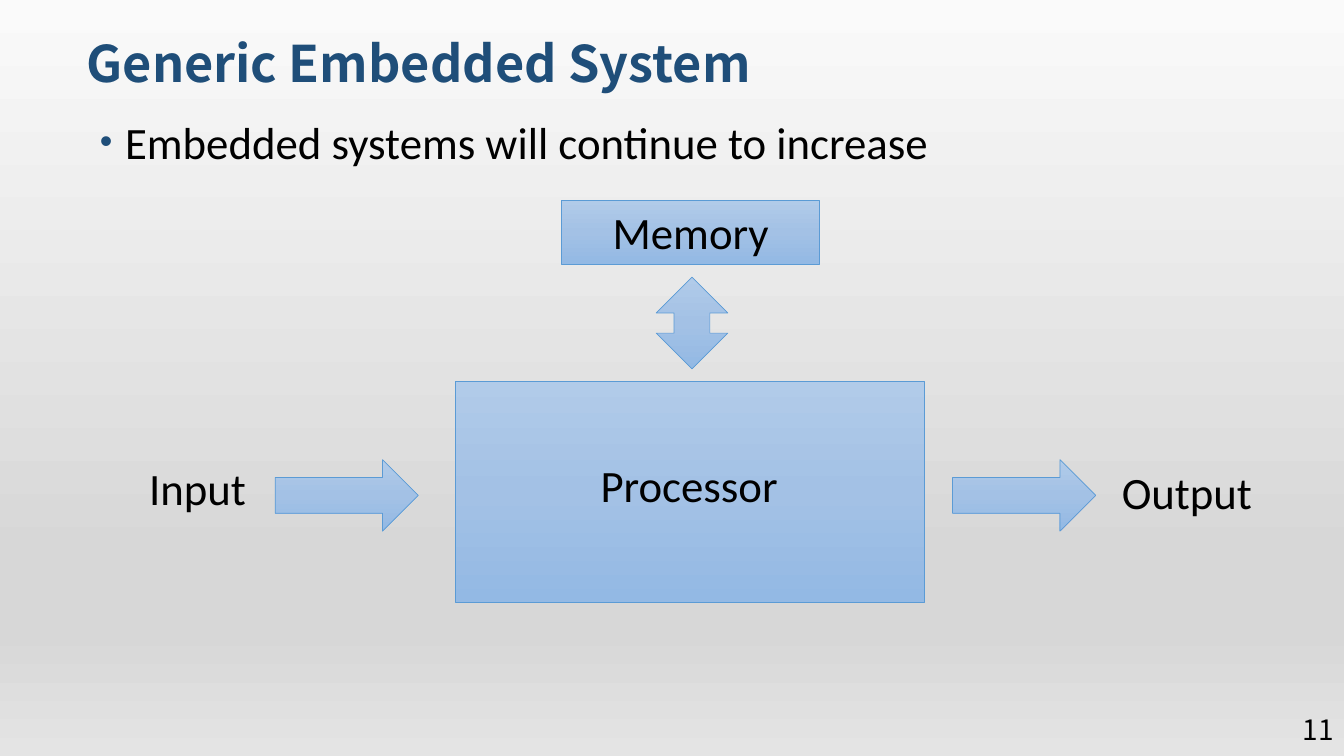
import copy
import dataclasses

import pptx
import pptx.dml.color
import pptx.enum.shapes
import pptx.enum.text
import pptx.oxml
import pptx.oxml.ns
import pptx.util

ALIGN = pptx.enum.text.PP_ALIGN
ANCHOR = pptx.enum.text.MSO_ANCHOR
SHAPE = pptx.enum.shapes.MSO_SHAPE
COLUMNS, ROWS = 133.33, 75
CELL = pptx.util.Inches(0.1)


@dataclasses.dataclass(frozen=True)
class Theme:
    """Colours, fonts and type sizes of the slide."""
    accent: str = "1F4E79"
    ink: str = "000000"
    outline: str = "5B9BD5"
    backdrop: tuple = ((0, "FAFAFA"), (74, "D7D7D7"), (83, "D7D7D7"), (100, "E4E4E4"))
    block: tuple = ((0, "B1CBE9"), (50, "A3C1E5"), (100, "93B9E4"))
    heading_font: str = "Noto Sans CJK TC"
    body_font: str = "Calibri"
    title_size: int = 36
    body_size: int = 32
    number_size: int = 20
    line_width: float = 0.5


THEME = Theme()


@dataclasses.dataclass(frozen=True)
class Box:
    """A rectangle measured in grid columns and rows."""
    left: float
    top: float
    width: float
    height: float

    def inner(self, left, top, width, height):
        """Return a box offset from this one."""
        return Box(self.left + left, self.top + top, width, height)

    def lengths(self):
        """Return left, top, width and height as slide lengths."""
        return [round(cells * CELL) for cells in dataclasses.astuple(self)]


def colour(value):
    """Return the RGB colour of a hex value."""
    return pptx.dml.color.RGBColor.from_string(value)


def paint_gradient(fill, element, stops):
    """Fill from top to bottom with the given percent and colour stops."""
    fill.gradient()
    fill.gradient_angle = 270
    stop_list = next(element.iter(pptx.oxml.ns.qn("a:gsLst")))
    for extra in stop_list[1:]:
        stop_list.remove(extra)
    for _ in stops[1:]:
        stop_list.append(copy.deepcopy(stop_list[0]))
    for stop, (percent, value) in zip(fill.gradient_stops, stops):
        stop.color.rgb = colour(value)
        stop.position = percent / 100


def write(shape, text, *, size=THEME.body_size, font=THEME.body_font, ink=THEME.ink,
          bold=False, align=ALIGN.LEFT, anchor=ANCHOR.TOP, wrap=True, spacing=0.9, before=0):
    """Write one formatted paragraph into a shape and return it."""
    frame = shape.text_frame
    frame.auto_size = pptx.enum.text.MSO_AUTO_SIZE.NONE
    frame.word_wrap = wrap
    frame.vertical_anchor = anchor
    para = frame.paragraphs[0]
    para.alignment = align
    para.line_spacing = spacing
    para.space_before = pptx.util.Pt(before)
    span = para.add_run()
    span.text = text
    span.font.name = font
    span.font.size = pptx.util.Pt(size)
    span.font.bold = bold
    span.font.color.rgb = colour(ink)
    return para


def move(shape, box):
    """Place a shape on a box."""
    shape.left, shape.top, shape.width, shape.height = box.lengths()


def add_bullet(para):
    """Give a paragraph a hanging coloured bullet."""
    properties = para._p.get_or_add_pPr()
    properties.set("marL", str(pptx.util.Inches(0.3)))
    properties.set("indent", str(pptx.util.Inches(-0.25)))
    namespace = pptx.oxml.ns.nsdecls("a")
    for markup in (f'<a:buClr {namespace}><a:srgbClr val="{THEME.accent}"/></a:buClr>',
                   f'<a:buSzPct {namespace} val="80000"/>',
                   f'<a:buFont {namespace} typeface="Arial"/>',
                   f'<a:buChar {namespace} char="•"/>'):
        properties.append(pptx.oxml.parse_xml(markup))


def add_block(page, kind, box):
    """Add a shaded preset shape."""
    shape = page.shapes.add_shape(kind, *box.lengths())
    shape.shadow.inherit = False
    paint_gradient(shape.fill, shape._element, THEME.block)
    shape.line.color.rgb = colour(THEME.outline)
    shape.line.width = pptx.util.Pt(THEME.line_width)


def add_text(page, box, text, **style):
    """Add a text box."""
    write(page.shapes.add_textbox(*box.lengths()), text, **style)


def fill_title(page, box):
    """Place and write the title."""
    title = page.shapes.title
    move(title, box)
    write(title, "Generic Embedded System", size=THEME.title_size, bold=True,
          font=THEME.heading_font, ink=THEME.accent, anchor=ANCHOR.BOTTOM)


def fill_body(page, box):
    """Place and write the bullet list."""
    body = page.placeholders[1]
    move(body, box)
    add_bullet(write(body, "Embedded systems will continue to increase",
                     spacing=1.2, before=3))


def draw_system(page, box):
    """Draw the processor with its memory, input and output."""
    blocks = (
        (SHAPE.RECTANGLE, (33.75, 17.9, 46.5, 22)),
        (SHAPE.RECTANGLE, (44.2, 0, 25.6, 6.3)),
        (SHAPE.RIGHT_ARROW, (15.85, 25.7, 14.2, 7.1)),
        (SHAPE.RIGHT_ARROW, (83.05, 25.7, 14.2, 7.1)),
        (SHAPE.UP_DOWN_ARROW, (53.65, 7.6, 7.1, 9.1)),
    )
    labels = (
        ("Input", (2.35, 25.9, 11.8, 5.9)),
        ("Output", (98.85, 26.3, 15.1, 5.9)),
        ("Processor", (47.15, 25.6, 19.7, 5.9)),
        ("Memory", (48.35, 0.5, 17.7, 5.9)),
    )
    for kind, place in blocks:
        add_block(page, kind, box.inner(*place))
    for text, place in labels:
        add_text(page, box.inner(*place), text, wrap=False)


def add_page_number(page, box):
    """Write the page number."""
    add_text(page, box, "11", size=THEME.number_size, font=THEME.heading_font,
             align=ALIGN.RIGHT, anchor=ANCHOR.MIDDLE, spacing=1)


def main():
    """Build and save the slide."""
    deck = pptx.Presentation()
    deck.slide_width, deck.slide_height = round(COLUMNS * CELL), ROWS * CELL
    page = deck.slides.add_slide(deck.slide_layouts[1])
    paint_gradient(page.background.fill, page._element, THEME.backdrop)
    fill_title(page, Box(7.6, 2.1, 113.1, 7.7))
    fill_body(page, Box(8.4, 9.8, 117.3, 61.6))
    draw_system(page, Box(11.45, 19.9, 114, 40))
    add_page_number(page, Box(COLUMNS - 12.5, 71.4, 12.5, 2))
    deck.save("out.pptx")


if __name__ == "__main__":
    main()
